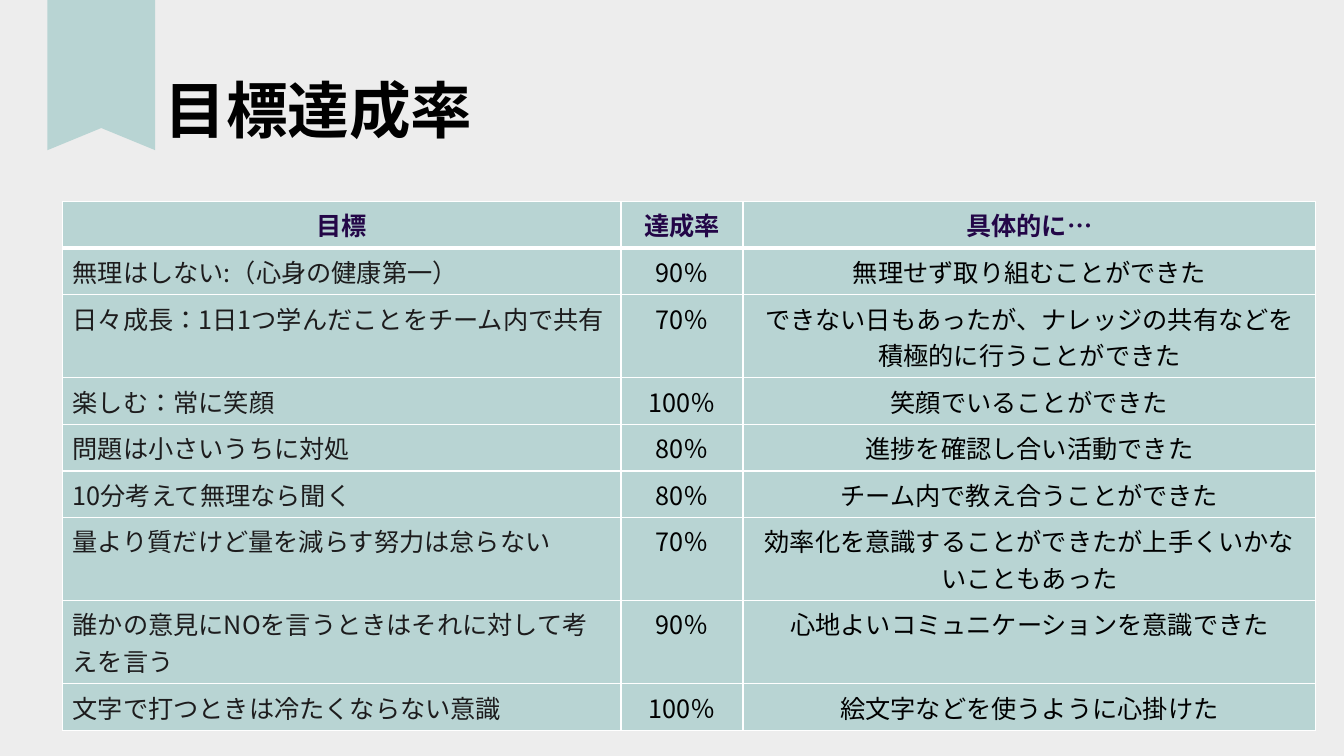
from lxml import etree
from pptx import Presentation
from pptx.dml.color import RGBColor
from pptx.enum.lang import MSO_LANGUAGE_ID
from pptx.enum.text import MSO_ANCHOR, PP_ALIGN
from pptx.oxml.ns import qn
from pptx.util import Inches, Pt

LEFT, CENTER = PP_ALIGN.LEFT, PP_ALIGN.CENTER
MIDDLE = MSO_ANCHOR.MIDDLE
JAPANESE = MSO_LANGUAGE_ID.JAPANESE
TITLE_ONLY_LAYOUT = 5
FONT = "Noto Sans CJK JP"
COLORS = {
    "background": "EDEDED",
    "accent": "B8D4D3",
    "header": "230647",
    "goal": "1D1C1D",
    "text": "000000",
    "border": "FFFFFF",
}
COLUMN_WIDTHS = (5.54, 1.21, 5.68)
ROW_HEIGHT = 0.41
HEADERS = ("目標", "達成率", "具体的に…")
GOALS = (
    ("無理はしない:（心身の健康第一）", "90％", "無理せず取り組むことができた"),
    ("日々成長：1日1つ学んだことをチーム内で共有", "70％",
     "できない日もあったが、ナレッジの共有などを積極的に行うことができた"),
    ("楽しむ：常に笑顔", "100％", "笑顔でいることができた"),
    ("問題は小さいうちに対処", "80％", "進捗を確認し合い活動できた"),
    ("10分考えて無理なら聞く", "80％", "チーム内で教え合うことができた"),
    ("量より質だけど量を減らす努力は怠らない", "70％",
     "効率化を意識することができたが上手くいかないこともあった"),
    ("誰かの意見にNOを言うときはそれに対して考えを言う", "90％",
     "心地よいコミュニケーションを意識できた"),
    ("文字で打つときは冷たくならない意識", "100％", "絵文字などを使うように心掛けた"),
)


def color(name):
    return RGBColor.from_string(COLORS[name])


def write_text(text_frame, text, size=18, color_name="text", bold=False,
               align=LEFT, line_spacing=None):
    paragraph = text_frame.paragraphs[0]
    paragraph.alignment = align
    paragraph.line_spacing = line_spacing
    run = paragraph.add_run()
    run.text = text
    font = run.font
    font.size = Pt(size)
    font.bold = bold
    font.color.rgb = color(color_name)
    font.name = FONT
    font.language_id = JAPANESE
    east_asian = etree.Element(qn("a:ea"), typeface=FONT)
    font._element.find(qn("a:latin")).addnext(east_asian)


def set_borders(cell, top=1, bottom=1):
    properties = cell._tc.get_or_add_tcPr()
    for side, width in (("L", 1), ("R", 1), ("T", top), ("B", bottom)):
        line = etree.SubElement(properties, qn(f"a:ln{side}"), w=str(Pt(width)))
        fill = etree.SubElement(line, qn("a:solidFill"))
        etree.SubElement(fill, qn("a:srgbClr"), val=COLORS["border"])


def add_title(slide, text):
    title = slide.shapes.title
    title.left, title.top = Inches(0.92), Inches(0.4)
    title.width, title.height = Inches(11.5), Inches(1.45)
    title.text_frame.vertical_anchor = MIDDLE
    write_text(title.text_frame, text, size=44, bold=True, line_spacing=0.9)


def add_goal_table(slide):
    rows = (HEADERS, *GOALS)
    table = slide.shapes.add_table(
        len(rows), len(COLUMN_WIDTHS), Inches(0.62), Inches(2),
        Inches(sum(COLUMN_WIDTHS)), Inches(ROW_HEIGHT * len(rows))).table
    table.horz_banding = False
    for column, width in zip(table.columns, COLUMN_WIDTHS):
        column.width = Inches(width)
    for row_index, values in enumerate(rows):
        table.rows[row_index].height = Inches(ROW_HEIGHT)
        is_header = row_index == 0
        for column_index, value in enumerate(values):
            is_goal = column_index == 0 and not is_header
            cell = table.cell(row_index, column_index)
            set_borders(cell, top=3 if row_index == 1 else 1,
                        bottom=3 if is_header else 1)
            cell.fill.solid()
            cell.fill.fore_color.rgb = color("accent")
            color_name = "header" if is_header else "goal" if is_goal else "text"
            write_text(cell.text_frame, value, color_name=color_name,
                       bold=is_header, align=LEFT if is_goal else CENTER)


def add_ribbon(slide, left, width, height, notch):
    right = left + width
    corners = ((left, 0), (left, height), (left + width / 2, height - notch),
               (right, height), (right, 0))
    start, *others = [(Inches(x), Inches(y)) for x, y in corners]
    builder = slide.shapes.build_freeform(*start)
    builder.add_line_segments(others, close=True)
    ribbon = builder.convert_to_shape()
    ribbon.shadow.inherit = False
    ribbon.fill.solid()
    ribbon.fill.fore_color.rgb = color("accent")
    ribbon.line.fill.background()


def main():
    presentation = Presentation()
    presentation.slide_width = Inches(13.33)
    presentation.slide_height = Inches(7.5)
    layout = presentation.slide_layouts[TITLE_ONLY_LAYOUT]
    slide = presentation.slides.add_slide(layout)
    slide.background.fill.solid()
    slide.background.fill.fore_color.rgb = color("background")
    add_title(slide, "　目標達成率")
    add_goal_table(slide)
    add_ribbon(slide, left=0.47, width=1.07, height=1.49, notch=0.22)
    presentation.save("out.pptx")


if __name__ == "__main__":
    main()
